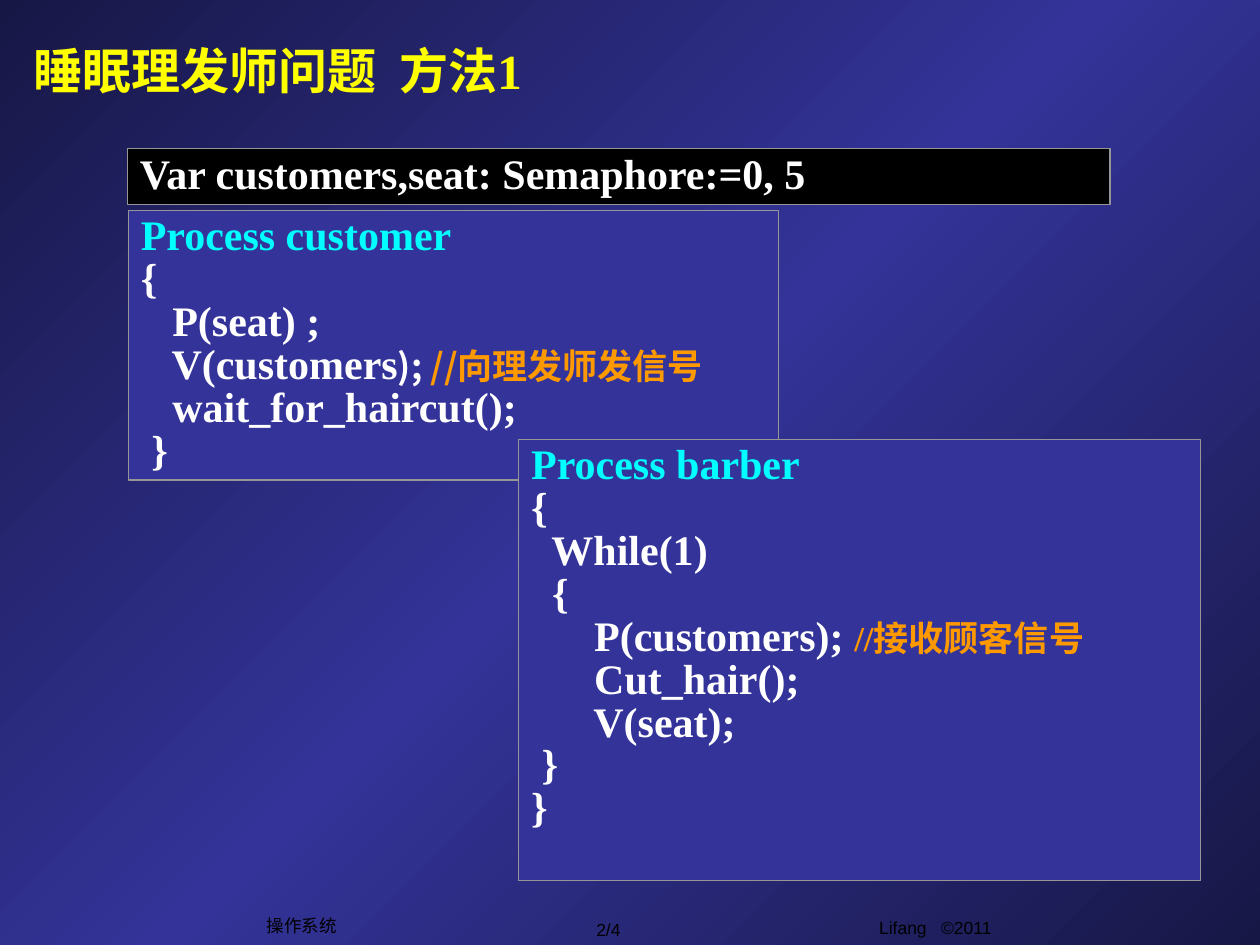
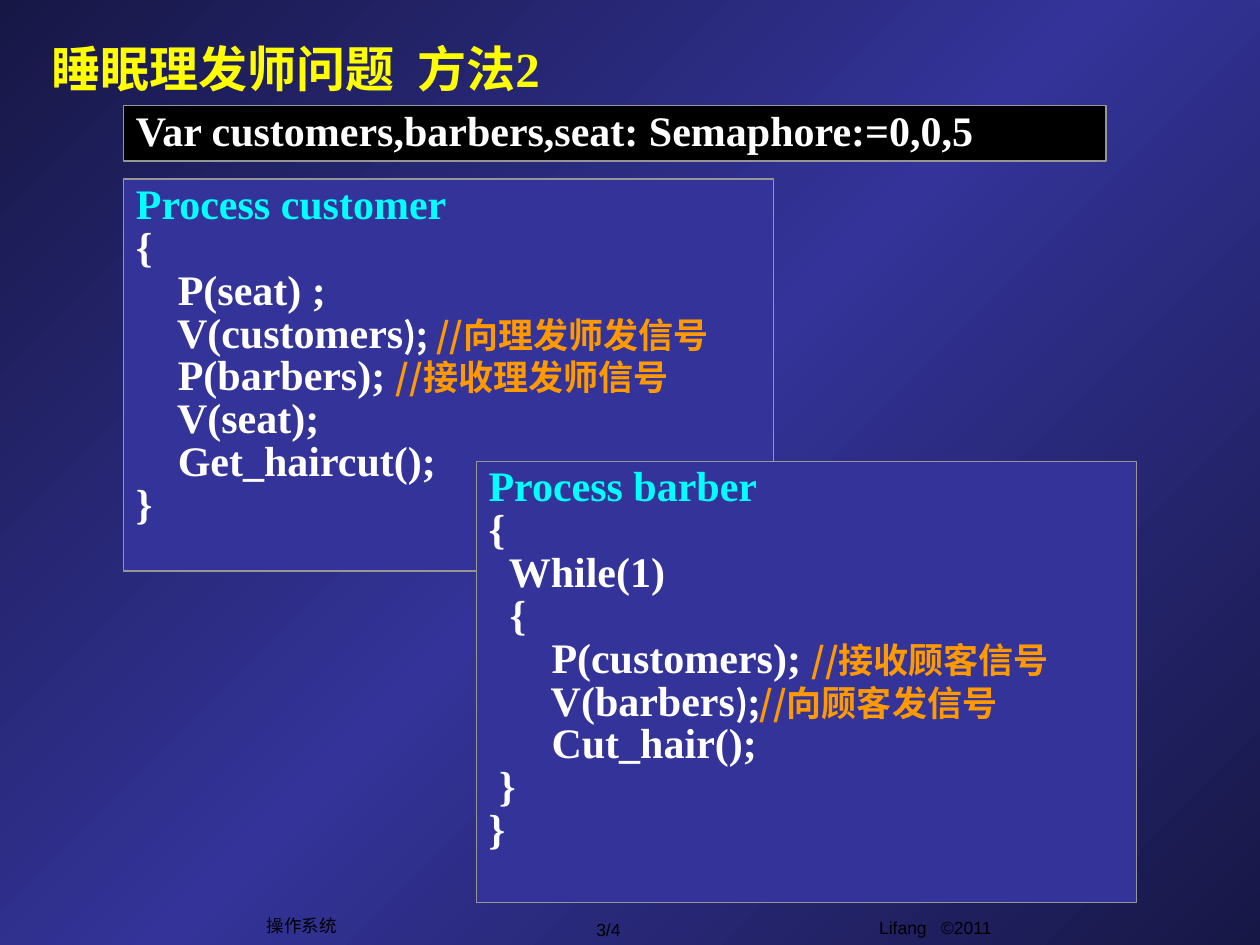
from copy import deepcopy

from lxml import etree
from pptx import Presentation
from pptx.dml.color import RGBColor
from pptx.enum.shapes import MSO_SHAPE
from pptx.enum.text import MSO_ANCHOR, PP_ALIGN
from pptx.oxml.ns import qn
from pptx.util import Cm, Pt

RECT = MSO_SHAPE.RECTANGLE
TOP, MID = MSO_ANCHOR.TOP, MSO_ANCHOR.MIDDLE
LEFT, MIDDLE = PP_ALIGN.LEFT, PP_ALIGN.CENTER

NAVY, BLUE, BLACK, GRAY = "171746", "333399", "000000", "969696"
WHITE, CYAN, GOLD, AMBER = "FFFFFF", "00FFFF", "FFFF00", "FF9900"
SERIF, SANS, HAN = "Times New Roman", "Arial", "Noto Sans CJK SC"

SMALL = dict(size=20, font=HAN)
NOTE = dict(size=20, font=HAN, color=AMBER)
FOOT = dict(size=10, font=SANS, color=BLACK, bold=False)
HEAD = dict(size=28, color=GOLD)

TOTAL = 4
BAR_SIZE = (19.81, 1.12)


def paint(target, color):
    target.rgb = RGBColor.from_string(color)


def put(para, text, size=24, font=SERIF, color=WHITE, bold=True, gap=0):
    run = para.add_run()
    run.text = text
    run.font.size = Pt(size)
    run.font.name = font
    run.font.bold = bold
    paint(run.font.color, color)
    props = run._r.get_or_add_rPr()
    etree.SubElement(props, qn("a:ea")).set("typeface", HAN)
    if gap:
        props.set("spc", str(gap))


def add_box(slide, area, parts, fmt, align=LEFT, anchor=MID, wrap=True):
    box = slide.shapes.add_textbox(*map(Cm, area))
    frame = box.text_frame
    frame.word_wrap = wrap
    frame.vertical_anchor = anchor
    para = frame.paragraphs[0]
    para.alignment = align
    for text, gap in parts:
        put(para, text, gap=gap, **fmt)


def add_code(slide, area, lines, fill=BLUE):
    panel = slide.shapes.add_shape(RECT, *map(Cm, area))
    panel.shadow.inherit = False
    panel.fill.solid()
    paint(panel.fill.fore_color, fill)
    paint(panel.line.color, GRAY)
    panel.line.width = Pt(0.75)
    frame = panel.text_frame
    frame.word_wrap = True
    frame.vertical_anchor = TOP
    for row, line in enumerate(lines):
        para = frame.add_paragraph() if row else frame.paragraphs[0]
        para.alignment = LEFT
        para.line_spacing = 0.85
        for part in [line] if isinstance(line, str) else line:
            text, fmt = (part, {}) if isinstance(part, str) else part
            put(para, text, **fmt)


def add_back(slide):
    fill = slide.background.fill
    fill.gradient()
    fill.gradient_angle = 135
    first = fill.gradient_stops[0]._gs
    first.addnext(deepcopy(first))
    stops = zip(fill.gradient_stops, (NAVY, BLUE, NAVY), (0, 0.5, 1))
    for stop, color, place in stops:
        paint(stop.color, color)
        stop.position = place


def add_foot(slide, page):
    add_box(slide, (14.83, 18.36, 8.05, 0.89),
            [("Lifang", 0), (" ", 550), ("©2011", 0)],
            FOOT, MIDDLE, TOP)
    add_box(slide, (11.07, 18.39, 2.39, 0.69),
            [(f"{page}/{TOTAL}", 0)], FOOT, MIDDLE, wrap=False)
    add_box(slide, (5.13, 18.31, 1.91, 0.69),
            [("操作系统", 0)], FOOT, MIDDLE, wrap=False)


def add_page(deck, page, title, spot, bar, code, panels):
    slide = deck.slides.add_slide(deck.slide_layouts[6])
    add_back(slide)
    add_foot(slide, page)
    (front, guest), (rear, barber) = panels
    add_code(slide, front, guest)
    add_box(slide, spot,
            [("睡眠理发师问题", 0), (" ", 700), (title, 0)], HEAD)
    add_code(slide, bar + BAR_SIZE, [code], BLACK)
    add_code(slide, rear, barber)


def guest(pad, *steps, end="}"):
    signal = (pad + "V(customers", (");", SMALL), (" //向理发师发信号", NOTE))
    return [("Process customer", dict(color=CYAN))], "{", \
        pad + "P(seat) ;", signal, *steps, end


def barber(note, *steps):
    return [("Process barber", dict(color=CYAN))], "{", "  While(1)", "  {", \
        ("      P(customers); ", ("//接收顾客信号", note)), *steps, " }", "}"


def main():
    deck = Presentation()
    deck.slide_width, deck.slide_height = Cm(25.4), Cm(19.05)
    add_page(
        deck, 2, "方法1", (0.43, 0, 12.29, 2.82), (2.57, 3),
        "Var customers,seat: Semaphore:=0, 5",
        [((2.59, 4.24, 13.11, 5.44),
          guest("   ", "   wait_for_haircut();", end=" }")),
         ((10.46, 8.86, 13.74, 8.89),
          barber(dict(NOTE, font=SERIF),
                 "      Cut_hair();", "      V(seat);"))])
    add_page(
        deck, 3, "方法2", (0.79, 0.74, 16.28, 1.24), (2.49, 2.13),
        "Var customers,barbers,seat: Semaphore:=0,0,5",
        [((2.49, 3.61, 13.11, 7.9),
          guest("    ", ("    P(barbers); ", ("//接收理发师信号", NOTE)),
                "    V(seat);", "    Get_haircut();")),
         ((9.6, 9.3, 13.31, 8.89),
          barber(NOTE,
                 ("      V(barbers", (");", SMALL), ("//向顾客发信号", NOTE)),
                 "      Cut_hair();"))])
    deck.save("out.pptx")


if __name__ == "__main__":
    main()
